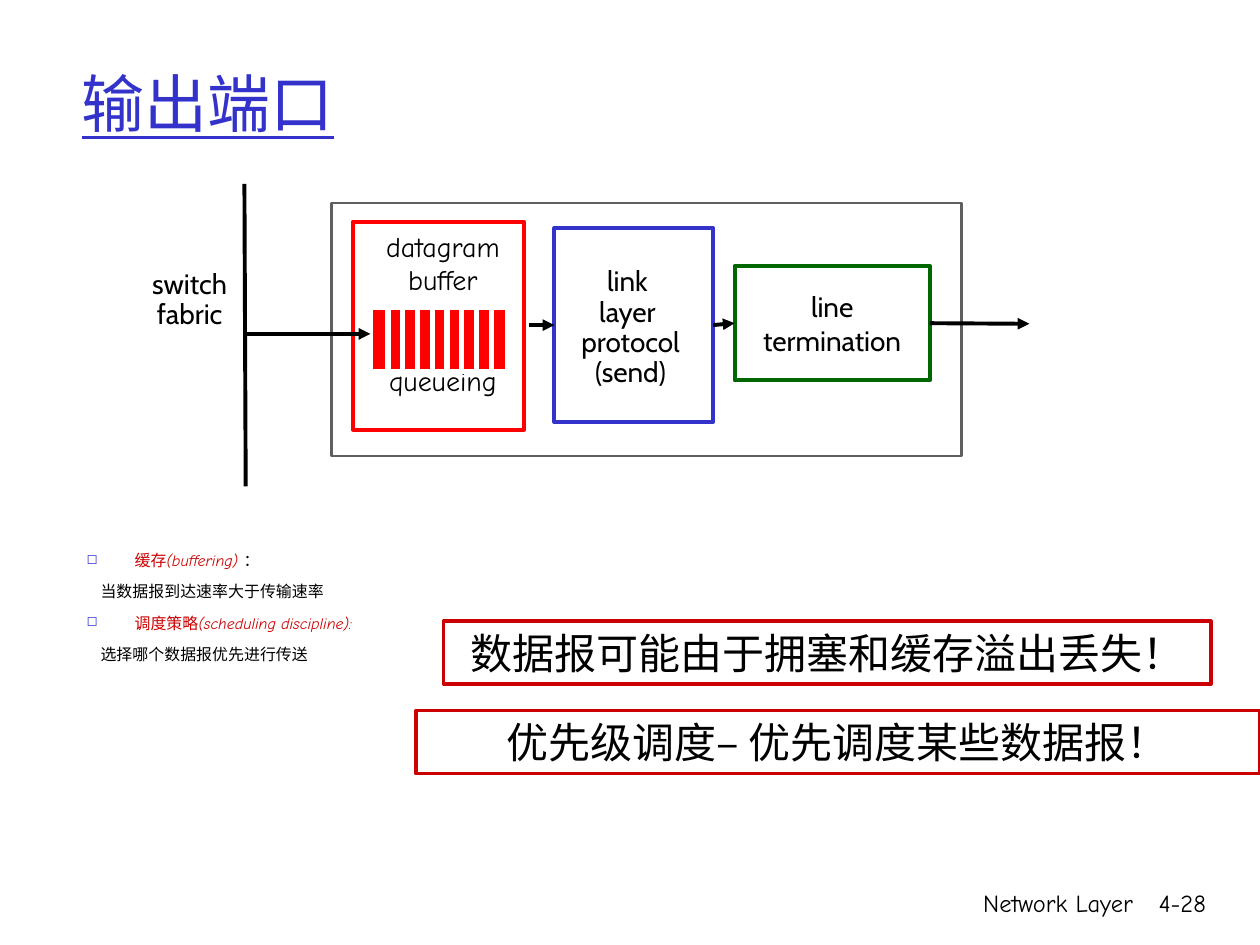
from dataclasses import dataclass
from typing import Optional

from lxml import etree
from pptx import Presentation
from pptx import util as u
from pptx.dml.color import RGBColor
from pptx.enum import shapes as kinds
from pptx.enum import text as t
from pptx.oxml.ns import qn


@dataclass(frozen=True)
class Theme:
    black: str = "000000"
    white: str = "FFFFFF"
    blue: str = "3333CC"
    red: str = "FF0000"
    dark_red: str = "CC0000"
    green: str = "006600"
    gray: str = "5F5F5F"
    script_font: str = "Comic Neue"
    sans_font: str = "Cabin"
    title_size: float = 36
    callout_size: float = 24
    label_size: float = 16
    footer_size: float = 14
    body_size: float = 9.1


THEME = Theme()
CENTER, RIGHT = t.PP_ALIGN.CENTER, t.PP_ALIGN.RIGHT
TOP, MIDDLE = t.MSO_ANCHOR.TOP, t.MSO_ANCHOR.MIDDLE


@dataclass(frozen=True)
class Box:
    left: float
    top: float
    width: float
    height: float

    def lengths(self) -> tuple:
        return tuple(u.Inches(n) for n in (self.left, self.top, self.width, self.height))


@dataclass(frozen=True)
class Callout:
    box: Box
    message: str


@dataclass(frozen=True)
class Topic:
    name: str
    english: str
    ending: str
    detail: str


CALLOUTS = (
    Callout(Box(3.52, 4.93, 6.09, 0.5), "数据报可能由于拥塞和缓存溢出丢失！"),
    Callout(Box(3.3, 5.64, 6.7, 0.5), "优先级调度– 优先调度某些数据报！"),
)
TOPICS = (
    Topic("缓存", "(buffering) ", "：", "当数据报到达速率大于传输速率"),
    Topic("调度策略", "(scheduling discipline):", "", "选择哪个数据报优先进行传送"),
)


def add_run(paragraph, words: str, *, size: float, font: str = THEME.script_font,
            color: str = THEME.black, italic: bool = False, underline: bool = False) -> None:
    run = paragraph.add_run()
    run.text = words
    run.font.size = u.Pt(size)
    run.font.name = font
    run.font.color.rgb = RGBColor.from_string(color)
    run.font.italic = italic
    run.font.underline = underline


def write(shape, lines: tuple, *, align=None, anchor=TOP, wrap: bool = True,
          spacing: Optional[float] = None, **run_format) -> None:
    frame = shape.text_frame
    frame.word_wrap = wrap
    frame.vertical_anchor = anchor
    for index, line in enumerate(lines):
        paragraph = frame.add_paragraph() if index else frame.paragraphs[0]
        paragraph.alignment = align
        paragraph.line_spacing = spacing
        add_run(paragraph, line, **run_format)


def add_text(shapes, box: Box, *lines: str, **text_format):
    shape = shapes.add_textbox(*box.lengths())
    write(shape, lines, **text_format)
    return shape


def add_rectangle(shapes, box: Box, *, fill: str = THEME.white,
                  line: Optional[str] = None, weight: float = 2.25):
    shape = shapes.add_shape(kinds.MSO_SHAPE.RECTANGLE, *box.lengths())
    shape.shadow.inherit = False
    shape.fill.solid()
    shape.fill.fore_color.rgb = RGBColor.from_string(fill)
    if line:
        shape.line.color.rgb = RGBColor.from_string(line)
        shape.line.width = u.Pt(weight)
    else:
        shape.line.fill.background()
    return shape


def add_line(shapes, start: tuple, end: tuple, *, color: str = THEME.black,
             weight: float = 2.25, arrow: bool = False):
    points = [u.Inches(n) for n in (*start, *end)]
    connector = shapes.add_connector(kinds.MSO_CONNECTOR.STRAIGHT, *points)
    connector.line.color.rgb = RGBColor.from_string(color)
    connector.line.width = u.Pt(weight)
    if arrow:
        etree.SubElement(connector.line._get_or_add_ln(), qn("a:tailEnd"), type="triangle")
    etree.SubElement(connector._element.spPr, qn("a:effectLst"))
    return connector


def add_bullet(paragraph) -> None:
    properties = paragraph._p.get_or_add_pPr()
    color = etree.SubElement(properties, qn("a:buClr"))
    etree.SubElement(color, qn("a:srgbClr"), val=THEME.blue)
    etree.SubElement(properties, qn("a:buSzPct"), val="85000")
    etree.SubElement(properties, qn("a:buChar"), char="◻")


def add_topics(shapes) -> None:
    frame = shapes.add_textbox(*Box(0.59, 4.32, 8.5, 1).lengths()).text_frame
    frame.word_wrap = True
    size = THEME.body_size
    for index, topic in enumerate(TOPICS):
        heading = frame.add_paragraph() if index else frame.paragraphs[0]
        if index:
            heading.space_before = u.Pt(7)
        properties = heading._p.get_or_add_pPr()
        properties.set("marL", str(u.Inches(0.38)))
        properties.set("indent", str(u.Inches(-0.38)))
        add_bullet(heading)
        add_run(heading, topic.name, size=size, color=THEME.dark_red)
        add_run(heading, topic.english, size=size, color=THEME.dark_red, italic=True)
        if topic.ending:
            add_run(heading, topic.ending, size=size)
        detail = frame.add_paragraph()
        detail.space_before = u.Pt(7)
        detail._p.get_or_add_pPr().set("marL", str(u.Inches(0.11)))
        add_run(detail, topic.detail, size=size)


def add_queue(shapes) -> None:
    group = shapes.add_group_shape().shapes
    add_rectangle(group, Box(2.8, 1.76, 1.36, 1.65), line=THEME.red)
    label = add_text(group, Box(2.96, 1.77, 1.11, 1.44), "datagram", "buffer", "queueing",
                     align=CENTER, wrap=False, size=THEME.label_size)
    label.text_frame.paragraphs[-1].space_before = u.Pt(38.5)
    add_rectangle(group, Box(2.94, 2.44, 1.09, 0.51), fill=THEME.red,
                  line=THEME.white, weight=3)
    for index in range(8):
        x = 3.08 + index * 0.82 / 7
        add_line(group, (x, 2.45), (x, 2.94), color=THEME.white, weight=3)


def add_diagram(shapes) -> None:
    label = dict(size=THEME.label_size, font=THEME.sans_font,
                 align=CENTER, anchor=MIDDLE, wrap=False)
    add_rectangle(shapes, Box(2.63, 1.61, 5, 2.01), line=THEME.gray, weight=1.5)
    termination = add_rectangle(shapes, Box(5.83, 2.11, 1.55, 0.91), line=THEME.green)
    write(termination, ("line", "termination"), **label)
    link = add_rectangle(shapes, Box(4.4, 1.81, 1.26, 1.54), line=THEME.blue)
    add_line(shapes, (4.2, 2.58), (4.4, 2.58), arrow=True).end_connect(link, 1)
    link_to_line = add_line(shapes, (5.66, 2.58), (5.83, 2.57), arrow=True)
    link_to_line.begin_connect(link, 3)
    link_to_line.end_connect(termination, 1)
    add_line(shapes, (7.38, 2.57), (8.17, 2.57), arrow=True).begin_connect(termination, 3)
    for box, lines in (
        (Box(4.43, 2.15, 1.15, 0.91), ("link ", "layer ", "protocol", "(send)")),
        (Box(0.93, 1.93, 1.15, 0.91), ("switch", "fabric")),
    ):
        write(add_rectangle(shapes, box), lines, spacing=0.9, **label)
    add_queue(shapes)
    add_line(shapes, (1.94, 1.46), (1.95, 3.86))
    add_line(shapes, (1.93, 2.65), (2.94, 2.65), arrow=True)


def main() -> None:
    presentation = Presentation()
    presentation.slide_width = u.Inches(10)
    presentation.slide_height = u.Inches(7.5)
    shapes = presentation.slides.add_slide(presentation.slide_layouts[6]).shapes
    for box, words in ((Box(5.92, 7, 3.17, 0.5), "Network Layer"),
                       (Box(8.93, 7, 0.74, 0.5), "4-28")):
        add_text(shapes, box, words, align=RIGHT, size=THEME.footer_size)
    add_text(shapes, Box(0.55, 0.44, 8.5, 0.75), "输出端口", anchor=MIDDLE,
             size=THEME.title_size, color=THEME.blue, underline=True)
    add_topics(shapes)
    for callout in CALLOUTS:
        shape = add_rectangle(shapes, callout.box, line=THEME.dark_red, weight=2)
        write(shape, (callout.message,), align=CENTER,
              size=THEME.callout_size, font=THEME.sans_font)
    add_diagram(shapes)
    presentation.save("out.pptx")


if __name__ == "__main__":
    main()
